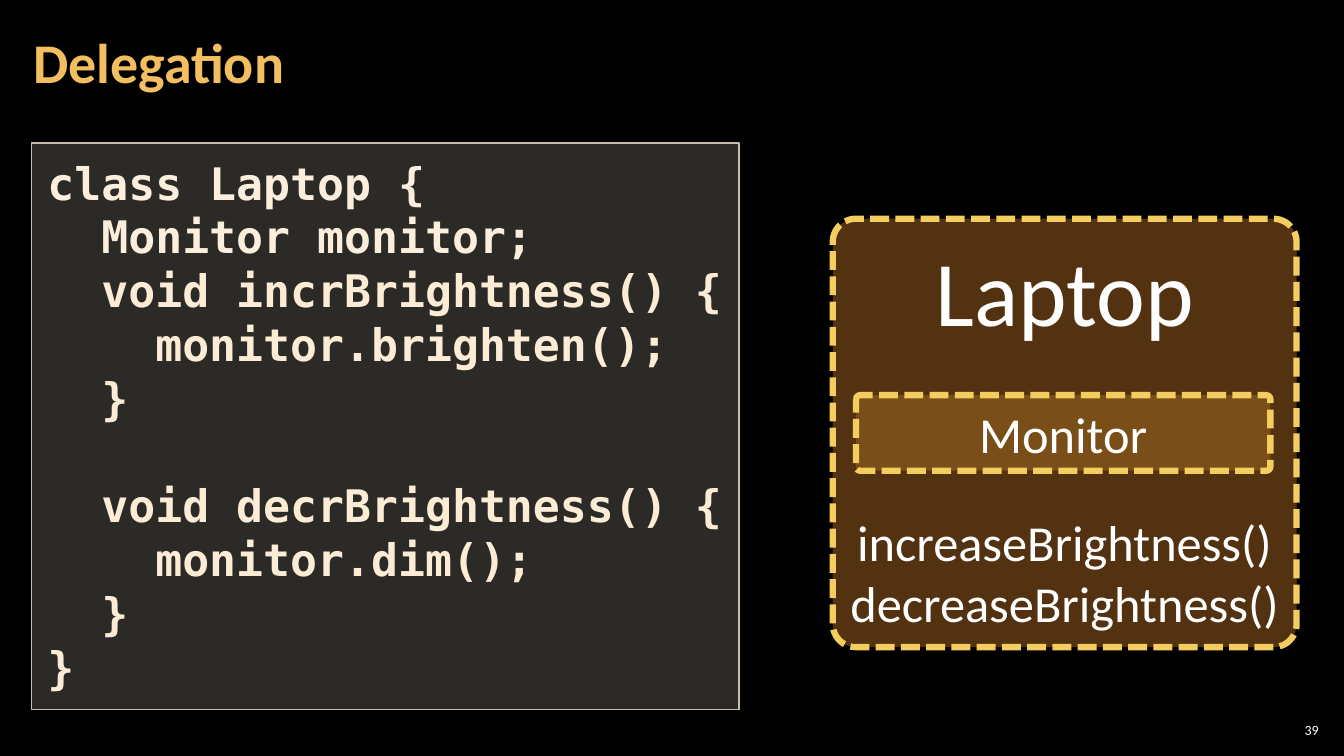
from lxml import etree
from pptx import Presentation
from pptx.dml.color import RGBColor
from pptx.enum.dml import MSO_LINE
from pptx.enum.shapes import MSO_SHAPE
from pptx.enum.text import MSO_ANCHOR, PP_ALIGN
from pptx.oxml.ns import qn
from pptx.util import Inches, Pt

# Content
TITLE = "Delegation"
PAGE = "39"
CODE = """class Laptop {
  Monitor monitor;
  void incrBrightness() {
    monitor.brighten();
  }

  void decrBrightness() {
    monitor.dim();
  }
}""".split("\n")
DECLARATIONS = 2  # opening code lines in the lighter tint
LAPTOP, MONITOR = "Laptop", "Monitor"
METHODS = ["increaseBrightness()", "decreaseBrightness()"]

# Places: left, top, width, height in inches
SIZE = (13.33, 7.5)
TITLE_BOX = (0.21, 0.04, 10.47, 1.21)
PAGE_BOX = (12.65, 7.14, 0.47, 0.21)
CODE_BOX = (0.31, 1.42, 7.02, 5.62)
LAPTOP_BOX = (8.26, 2.17, 4.6, 4.25)
MONITOR_BOX = (8.49, 3.92, 4.11, 0.75)

# Style
BLACK = RGBColor(0x00, 0x00, 0x00)
WHITE = RGBColor(0xFF, 0xFF, 0xFF)
GOLD = RGBColor(0xF3, 0xBE, 0x60)
CODE_LIGHT = RGBColor(0xFB, 0xEE, 0xDC)
CODE_WARM = RGBColor(0xFC, 0xEC, 0xD5)
PANEL = RGBColor(0xD9, 0xD5, 0xC7)
PANEL_EDGE = RGBColor(0xC7, 0xBF, 0xAC)
BROWN = RGBColor(0x60, 0x3A, 0x14)
AMBER = RGBColor(0xF0, 0xA2, 0x2E)
DASH_GOLD = RGBColor(0xF3, 0xCD, 0x60)
SANS, MONO = "Calibri", "DejaVu Sans Mono"
RECT, ROUNDED = MSO_SHAPE.RECTANGLE, MSO_SHAPE.ROUNDED_RECTANGLE
TOP, MIDDLE = MSO_ANCHOR.TOP, MSO_ANCHOR.MIDDLE
LEFT, CENTER, RIGHT = PP_ALIGN.LEFT, PP_ALIGN.CENTER, PP_ALIGN.RIGHT
SYS_DASH = MSO_LINE.SQUARE_DOT
CORNER = 0.054


def set_frame(sp, anchor, inset_x, inset_y):
    tf = sp.text_frame
    tf.word_wrap = True
    tf.vertical_anchor = anchor
    tf.margin_left = tf.margin_right = Inches(inset_x)
    tf.margin_top = tf.margin_bottom = Inches(inset_y)
    return tf


def add_line(tf, text, size, color, font=SANS, bold=False, align=LEFT):
    p = tf.paragraphs[0]
    if p.runs:
        p = tf.add_paragraph()
    p.alignment = align
    p.font.size, p.font.name, p.font.bold = Pt(size), font, bold
    p.font.color.rgb = color
    p.add_run().text = text
    return p


def add_text(s, box, inset_x, inset_y):
    sp = s.shapes.add_textbox(*map(Inches, box))
    return set_frame(sp, MIDDLE, inset_x, inset_y)


def add_box(s, kind, box, fill, alpha, edge, width):
    sp = s.shapes.add_shape(kind, *map(Inches, box))
    sp.shadow.inherit = False
    sp.fill.solid()
    sp.fill.fore_color.rgb = fill
    color = sp.fill._xPr.find(qn("a:solidFill"))[0]
    etree.SubElement(color, qn("a:alpha")).set("val", str(alpha * 1000))
    sp.line.color.rgb = edge
    sp.line.width = Pt(width)
    return sp


def add_object(s, box, fill, alpha):
    sp = add_box(s, ROUNDED, box, fill, alpha, DASH_GOLD, 4.5)
    sp.adjustments[0] = CORNER
    sp.line.dash_style = SYS_DASH
    return set_frame(sp, MIDDLE, 0.1, 0.05)


def main():
    prs = Presentation()
    prs.slide_width, prs.slide_height = map(Inches, SIZE)
    s = prs.slides.add_slide(prs.slide_layouts[6])
    s.background.fill.solid()
    s.background.fill.fore_color.rgb = BLACK

    # Page number and title
    add_line(add_text(s, PAGE_BOX, 0.04, 0.04), PAGE, 10, WHITE, align=RIGHT)
    p = add_line(add_text(s, TITLE_BOX, 0.12, 0.04), TITLE, 40, GOLD, bold=True)
    p.line_spacing = 0.9

    # Code panel
    panel = add_box(s, RECT, CODE_BOX, PANEL, 20, PANEL_EDGE, 1)
    tf = set_frame(panel, TOP, 0.16, 0.12)
    for i, text in enumerate(CODE):
        color = CODE_LIGHT if i < DECLARATIONS else CODE_WARM
        p = add_line(tf, text, 32, color, MONO, bold=True)
        p.line_spacing = Pt(38.4)

    # Laptop object, with room left for the monitor inside it
    tf = add_object(s, LAPTOP_BOX, BROWN, 87)
    add_line(tf, LAPTOP, 66, WHITE, align=CENTER)
    for i, method in enumerate(METHODS):
        p = add_line(tf, method, 36, WHITE, align=CENTER)
        p.space_before = Pt(0 if i else 119)

    # Monitor object
    tf = add_object(s, MONITOR_BOX, AMBER, 25)
    add_line(tf, MONITOR, 36, WHITE, align=CENTER)

    prs.save("out.pptx")


if __name__ == "__main__":
    main()
